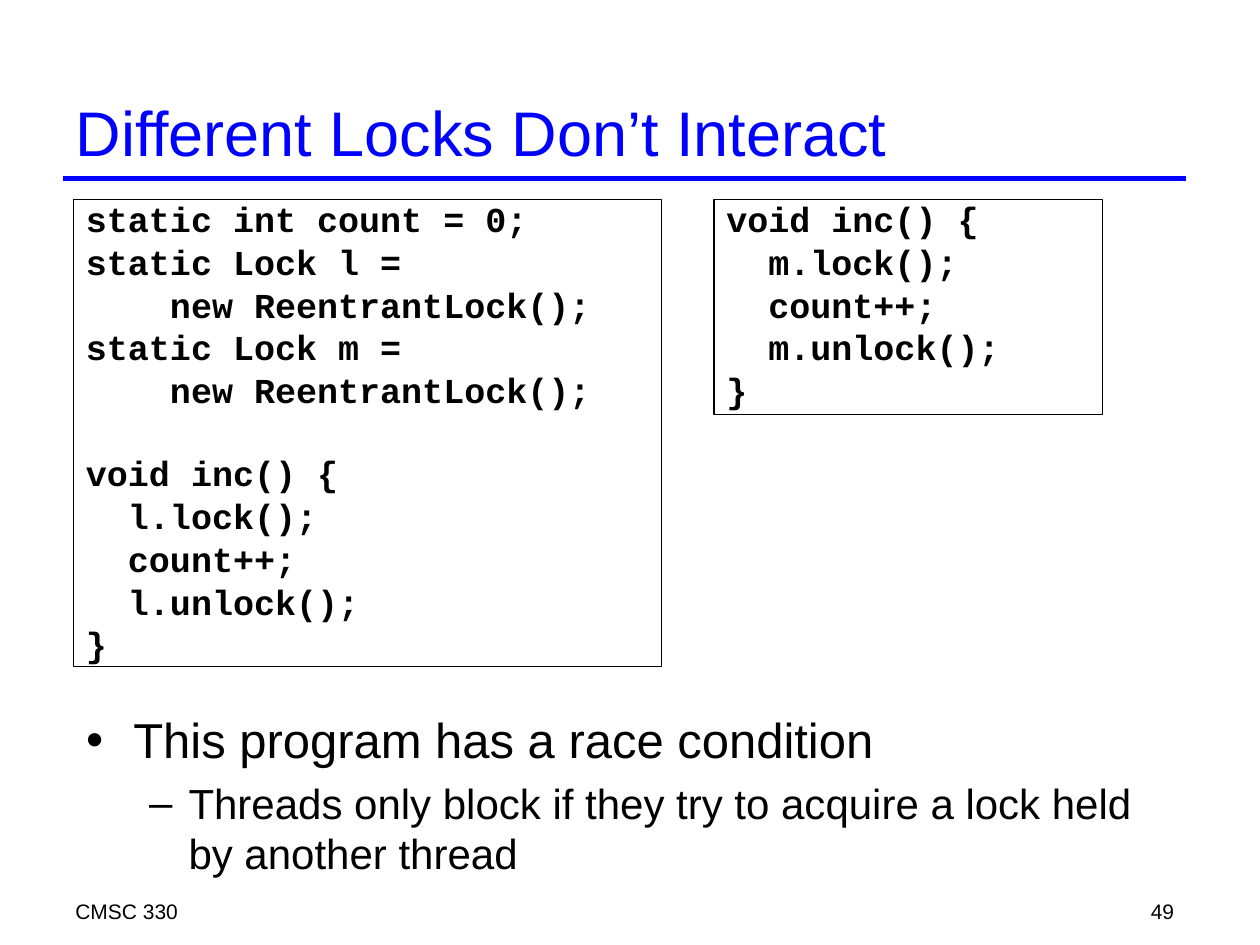
from lxml import etree
from pptx import Presentation
from pptx.dml.color import RGBColor
from pptx.enum import shapes, text
from pptx.oxml.ns import qn
from pptx.util import Pt

BLACK = RGBColor(0, 0, 0)
BLUE = RGBColor(0, 0, 255)
LEFT = Pt(36)
CODE_TOP = Pt(114)
CODE_GAP = Pt(5.2)
BLANK_LINE_GAP = Pt(28.5)


def style(item, size, color=BLACK, name="Arial", bold=False):
    """Set the font of a paragraph's runs."""
    for span in item.runs:
        span.font.size = Pt(size)
        span.font.name = name
        span.font.bold = bold
        span.font.color.rgb = color


deck = Presentation()
deck.slide_width, deck.slide_height = Pt(720), Pt(540)
page = deck.slides.add_slide(deck.slide_layouts[1])

# Title and rule
title = page.shapes.title
title.left, title.top, title.width, title.height = LEFT, Pt(48), Pt(642), Pt(54)
title.text_frame.text = "Different Locks Don’t Interact"
title.text_frame.auto_size = text.MSO_AUTO_SIZE.NONE
title.text_frame.vertical_anchor = text.MSO_ANCHOR.MIDDLE
title.text_frame.paragraphs[0].alignment = text.PP_ALIGN.LEFT
style(title.text_frame.paragraphs[0], 36, BLUE)

rule = page.shapes.add_connector(
    shapes.MSO_CONNECTOR.STRAIGHT, LEFT, Pt(102), Pt(678), Pt(102))
rule.line.color.rgb = BLUE
rule.line.width = Pt(3)
etree.SubElement(rule._element.spPr, qn("a:effectLst"))

# Bulleted list
body = page.placeholders[1]
body.left, body.top, body.width, body.height = Pt(42), Pt(402), Pt(636), Pt(126)
body.text_frame.auto_size = text.MSO_AUTO_SIZE.NONE
bullets = [
    ("This program has a race condition", "•", 28, 27, 27, 0),
    ("Threads only block if they try to acquire a lock held by another thread",
     "–", 24, 58.5, 22.5, 5),
]
body.text_frame.text = "\n".join(bullet[0] for bullet in bullets)
for level, (para, bullet) in enumerate(zip(body.text_frame.paragraphs, bullets)):
    _, mark, size, margin, hanging, gap = bullet
    para.level = level
    para.space_before = Pt(gap)
    properties = para._p.get_or_add_pPr()
    properties.set("marL", str(Pt(margin)))
    properties.set("indent", str(-Pt(hanging)))
    etree.SubElement(properties, qn("a:buChar"), char=mark)
    style(para, size)

# Code boxes: a blank line in the code becomes a wider gap
declarations = """static int count = 0;
static Lock l =
    new ReentrantLock();
static Lock m =
    new ReentrantLock();
"""
method = """void inc() {{
  {0}.lock();
  count++;
  {0}.unlock();
}}"""
code_boxes = [
    (42, 336, 267, declarations + method.format("l")),
    (408, 222, 123, method.format("m")),
]
for left, width, height, code in code_boxes:
    box = page.shapes.add_shape(
        shapes.MSO_SHAPE.RECTANGLE, Pt(left), CODE_TOP, Pt(width), Pt(height))
    box.shadow.inherit = False
    box.fill.background()
    box.line.color.rgb = BLACK
    box.line.width = Pt(0.75)
    frame = box.text_frame
    frame.vertical_anchor = text.MSO_ANCHOR.TOP
    frame.text = code
    for number, para in enumerate(frame.paragraphs):
        para.alignment = text.PP_ALIGN.LEFT
        para.line_spacing = 0.8
        if number:
            starts_method = para.text.startswith("void")
            para.space_before = BLANK_LINE_GAP if starts_method else CODE_GAP
        style(para, 20, name="Courier New", bold=True)

# Footer
footers = [
    (36, 438, "CMSC 330", text.PP_ALIGN.LEFT),
    (528, 150, "49", text.PP_ALIGN.RIGHT),
]
for left, width, words, alignment in footers:
    box = page.shapes.add_textbox(Pt(left), Pt(510), Pt(width), Pt(18))
    box.text_frame.word_wrap = True
    box.text_frame.text = words
    box.text_frame.paragraphs[0].alignment = alignment
    style(box.text_frame.paragraphs[0], 12)

deck.save("out.pptx")
